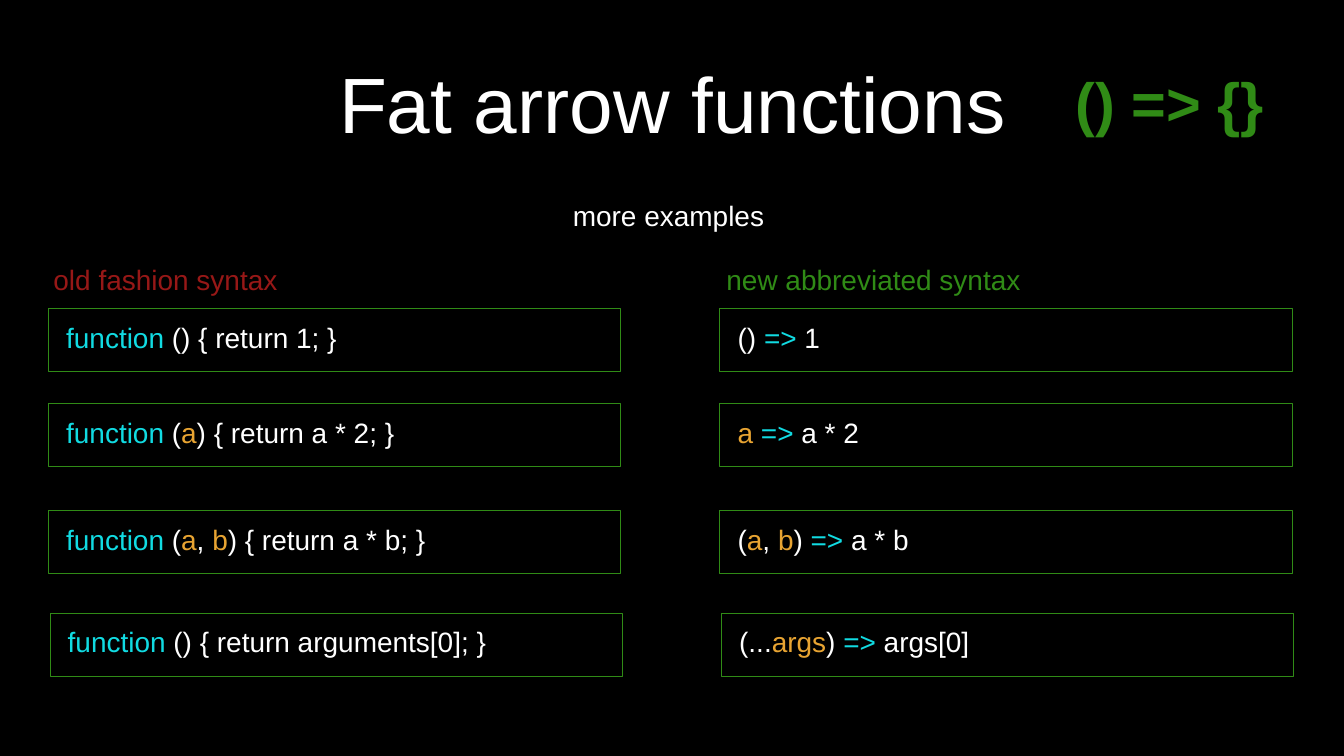
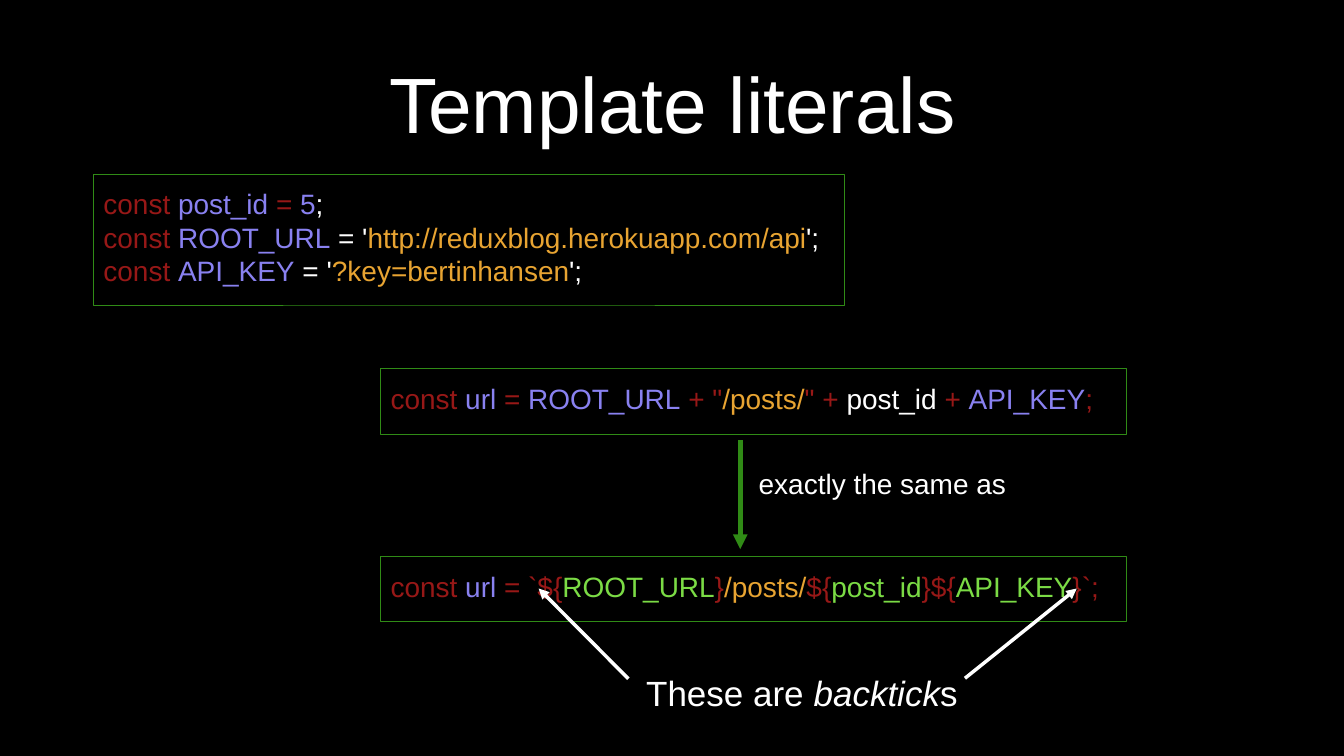
"""Build two slides on modern JavaScript syntax: fat arrow functions and template literals."""
from dataclasses import dataclass

from lxml import etree
from pptx import Presentation
from pptx.dml.color import RGBColor as RGB
from pptx.enum.shapes import MSO_CONNECTOR as CONN, MSO_SHAPE as SHAPE
from pptx.enum.text import MSO_ANCHOR as ANCHOR, PP_ALIGN as ALIGN
from pptx.oxml.ns import qn
from pptx.util import Pt

PX = 9525


@dataclass(frozen=True)
class Theme:
    font: str = "Arial"
    black: str = "000000"
    white: str = "FFFFFF"
    green: str = "308B16"
    lime: str = "7BDB45"
    red: str = "971817"
    cyan: str = "11DBE2"
    orange: str = "E8A432"
    violet: str = "8981F0"
    title: int = 112
    symbol: int = 85
    callout: int = 50
    body: int = 40


T = Theme()
W, G, L, R, C, O, V = T.white, T.green, T.lime, T.red, T.cyan, T.orange, T.violet


def add_text(s, x, y, w, h, lines, size=T.body, align=ALIGN.LEFT, wrap=True):
    sp = s.shapes.add_textbox(x * PX, y * PX, w * PX, h * PX)
    tf = sp.text_frame
    tf.word_wrap = wrap
    tf.vertical_anchor = ANCHOR.MIDDLE
    tf.margin_left = tf.margin_right = tf.margin_top = tf.margin_bottom = 8 * PX
    for i, line in enumerate(lines):
        p = tf.add_paragraph() if i else tf.paragraphs[0]
        p.alignment = align
        for text, color, *style in line:
            r = p.add_run()
            r.text = text
            r.font.name = T.font
            r.font.size = Pt(size)
            r.font.color.rgb = RGB.from_string(color)
            r.font.bold = "bold" in style
            r.font.italic = "italic" in style


def add_code(s, x, y, w, h, pad, lines):
    sp = s.shapes.add_shape(SHAPE.RECTANGLE, x * PX, y * PX, w * PX, h * PX)
    sp.shadow.inherit = False
    sp.fill.solid()
    sp.fill.fore_color.rgb = RGB.from_string(T.black)
    sp.line.color.rgb = RGB.from_string(G)
    sp.line.width = Pt(1)
    add_text(s, x + pad, y + 15, w - 2 * pad, h - 41, lines)


prs = Presentation()
prs.slide_width, prs.slide_height = 2560 * PX, 1440 * PX
bg = prs.slide_master.background.fill
bg.solid()
bg.fore_color.rgb = RGB.from_string(T.black)

slides = []
for title in ("Fat arrow functions", "Template literals"):
    s = prs.slides.add_slide(prs.slide_layouts[6])
    add_text(s, 461, 36, 1639, 319, [[(title, W)]], T.title, ALIGN.CENTER)
    slides.append(s)
arrows, literals = slides

add_text(arrows, 1964, 118, 528, 151, [[("() => {}", G, "bold")]], T.symbol, ALIGN.CENTER)
add_text(arrows, 1083, 371, 395, 79, [[("more examples", W)]])

OLD_X, NEW_X = 92, 1371
for x, w, label, color in (
    (OLD_X, 446, "old fashion syntax", R),
    (NEW_X, 585, "new abbreviated syntax", G),
):
    add_text(arrows, x, 492, w, 79, [[(label, color)]], align=ALIGN.CENTER, wrap=False)

examples = [
    (0, 588,
     [(" () { return 1; }", W)],
     [("() ", W), ("=>", C), (" 1", W)]),
    (0, 768,
     [(" (", W), ("a", O), (") { return a * 2; }", W)],
     [("a ", O), ("=>", C), (" a * 2", W)]),
    (0, 973,
     [(" (", W), ("a", O), (", ", W), ("b", O), (") { return a * b; }", W)],
     [("(", W), ("a", O), (", ", W), ("b", O), (") ", W), ("=>", C), (" a * b", W)]),
    (3, 1168,
     [(" () { return arguments[0]; }", W)],
     [("(...", W), ("args", O), (") ", W), ("=>", C), (" args[0]", W)]),
]
for shift, y, old, new in examples:
    for x, line in ((OLD_X, [("function", C)] + old), (NEW_X, new)):
        add_code(arrows, x + shift, y, 1090, 120, 26, [line])

snippets = [
    (178, 333, 1430, 248, [
        [("post_id ", V), ("= ", R), ("5", V), (";", W)],
        [("ROOT_URL", V), (" = '", W), ("http://reduxblog.herokuapp.com/api", O), ("';", W)],
        [("API_KEY", V), (" = '", W), ("?key=bertinhansen", O), ("';", W)],
    ]),
    (725, 702, 1420, 125, [
        [("url", V), (" = ", R), ("ROOT_URL", V), (' + "', R), ("/posts/", O), ('" + ', R),
         ("post_id", W), (" + ", R), ("API_KEY", V), (";", R)],
    ]),
    (725, 1059, 1420, 125, [
        [("url", V), (" = `${", R), ("ROOT_URL", L), ("}", R), ("/posts/", O), ("${", R),
         ("post_id", L), ("}${", R), ("API_KEY", L), ("}`;", R)],
    ]),
]
for x, y, w, h, lines in snippets:
    add_code(literals, x, y, w, h, 11, [[("const ", R)] + line for line in lines])

add_text(literals, 1435, 881, 491, 79, [[("exactly the same as", W)]],
         align=ALIGN.CENTER, wrap=False)
add_text(literals, 1220, 1272, 615, 95,
         [[("These are ", W), ("backtick", W, "italic"), ("s", W)]],
         T.callout, ALIGN.CENTER, False)

for x1, y1, x2, y2, color, width in (
    (1410, 839, 1410, 1046, G, 7),
    (1197, 1293, 1026, 1121, W, 5),
    (1838, 1292, 2051, 1121, W, 5),
):
    arrow = literals.shapes.add_connector(CONN.STRAIGHT, x1 * PX, y1 * PX, x2 * PX, y2 * PX)
    arrow.line.color.rgb = RGB.from_string(color)
    arrow.line.width = Pt(width)
    etree.SubElement(arrow.line._get_or_add_ln(), qn("a:tailEnd"), type="triangle")
    etree.SubElement(arrow._element.spPr, qn("a:effectLst"))

prs.save("out.pptx")
